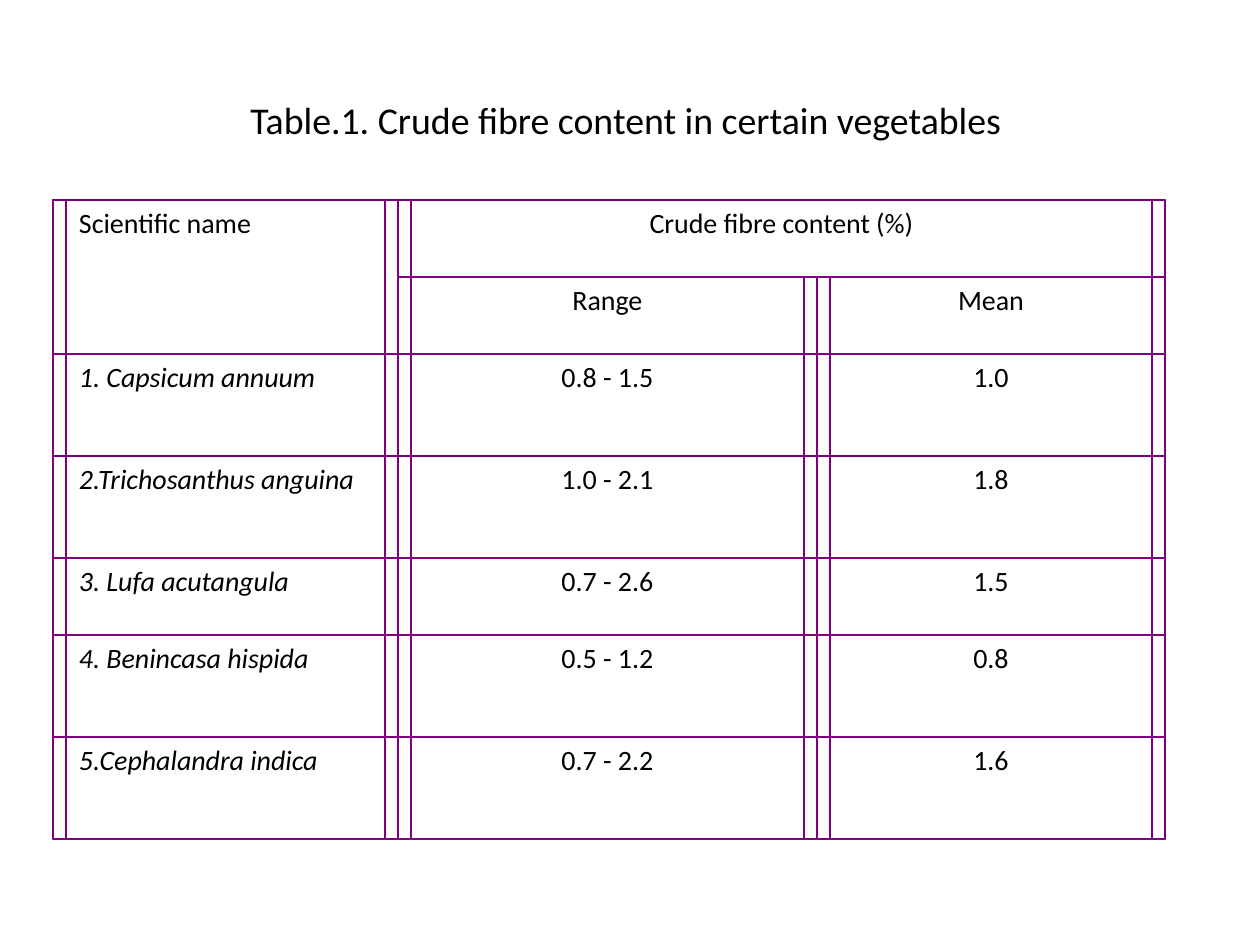
from dataclasses import dataclass
from itertools import accumulate

from pptx import Presentation
from pptx.dml.color import RGBColor
from pptx.enum.shapes import MSO_SHAPE
from pptx.enum.text import MSO_ANCHOR, PP_ALIGN
from pptx.util import Emu, Pt

TITLE = "Table.1. Crude fibre content in certain vegetables"
NAME_HEADING = "Scientific name"
CONTENT_HEADING = "Crude fibre content (%)"
VALUE_HEADINGS = ("Range", "Mean")
VEGETABLES = [
    ("1. Capsicum annuum", "0.8 - 1.5", "1.0"),
    ("2.Trichosanthus anguina", "1.0 - 2.1", "1.8"),
    ("3. Lufa acutangula", "0.7 - 2.6", "1.5"),
    ("4. Benincasa hispida", "0.5 - 1.2", "0.8"),
    ("5.Cephalandra indica", "0.7 - 2.2", "1.6"),
]


@dataclass(frozen=True)
class Theme:
    font: str = "Calibri"
    text: RGBColor = RGBColor(0, 0, 0)
    border: RGBColor = RGBColor(0x80, 0, 0x80)
    border_width: float = 1.5
    title_size: float = 21.6
    cell_size: float = 16


THEME = Theme()
PX = 914400 // 126
SLIDE_SIZE = (1260, 945)
TITLE_BOX = (94, 84, 1071, 158)
COLUMN_EDGES = list(accumulate((53, 345, 419, 348)))
ROW_EDGES = list(accumulate((200, 77, 77, 102, 102, 77, 102, 102)))
CELL_GAP = 13
MARGIN_X, MARGIN_Y = 13, 6


def px(*lengths):
    return [Emu(length * PX) for length in lengths]


def write(shape, text, size=THEME.cell_size, align=PP_ALIGN.CENTER, italic=False,
          margins=(MARGIN_X, MARGIN_Y, MARGIN_X, MARGIN_Y)):
    frame = shape.text_frame
    frame.word_wrap = True
    frame.vertical_anchor = MSO_ANCHOR.TOP
    (frame.margin_left, frame.margin_top,
     frame.margin_right, frame.margin_bottom) = px(*margins)
    paragraph = frame.paragraphs[0]
    paragraph.alignment = align
    run = paragraph.add_run()
    run.text = text
    font = run.font
    font.name, font.size, font.italic = THEME.font, Pt(size), italic
    font.color.rgb = THEME.text


def add_outline(group, left, top, right, bottom):
    shape = group.shapes.add_shape(
        MSO_SHAPE.RECTANGLE, *px(left, top, right - left, bottom - top))
    shape.shadow.inherit = False
    shape.fill.background()
    shape.line.color.rgb = THEME.border
    shape.line.width = Pt(THEME.border_width)
    return shape


def add_cell(group, text, column, row, column_span=1, row_span=1, **text_format):
    """Draw a double-sided cell: an inner box with the text, then its outer box."""
    left, right = COLUMN_EDGES[column], COLUMN_EDGES[column + column_span]
    top, bottom = ROW_EDGES[row], ROW_EDGES[row + row_span]
    inner = add_outline(group, left + CELL_GAP, top, right - CELL_GAP, bottom)
    write(inner, text, **text_format)
    add_outline(group, left, top, right, bottom)


def main():
    presentation = Presentation()
    presentation.slide_width, presentation.slide_height = px(*SLIDE_SIZE)
    slide = presentation.slides.add_slide(presentation.slide_layouts[6])

    title = slide.shapes.add_textbox(*px(*TITLE_BOX))
    write(title, TITLE, size=THEME.title_size, margins=(MARGIN_X, 13, 20, MARGIN_Y))

    table = slide.shapes.add_group_shape()
    add_cell(table, NAME_HEADING, 0, 0, row_span=2, align=PP_ALIGN.JUSTIFY)
    add_cell(table, CONTENT_HEADING, 1, 0, column_span=2)
    for column, heading in enumerate(VALUE_HEADINGS, start=1):
        add_cell(table, heading, column, 1)
    for row, (name, *values) in enumerate(VEGETABLES, start=2):
        add_cell(table, name, 0, row, align=PP_ALIGN.JUSTIFY, italic=True)
        for column, value in enumerate(values, start=1):
            add_cell(table, value, column, row)
    add_outline(table, COLUMN_EDGES[0], ROW_EDGES[0], COLUMN_EDGES[-1], ROW_EDGES[-1])

    presentation.save("out.pptx")


if __name__ == "__main__":
    main()
